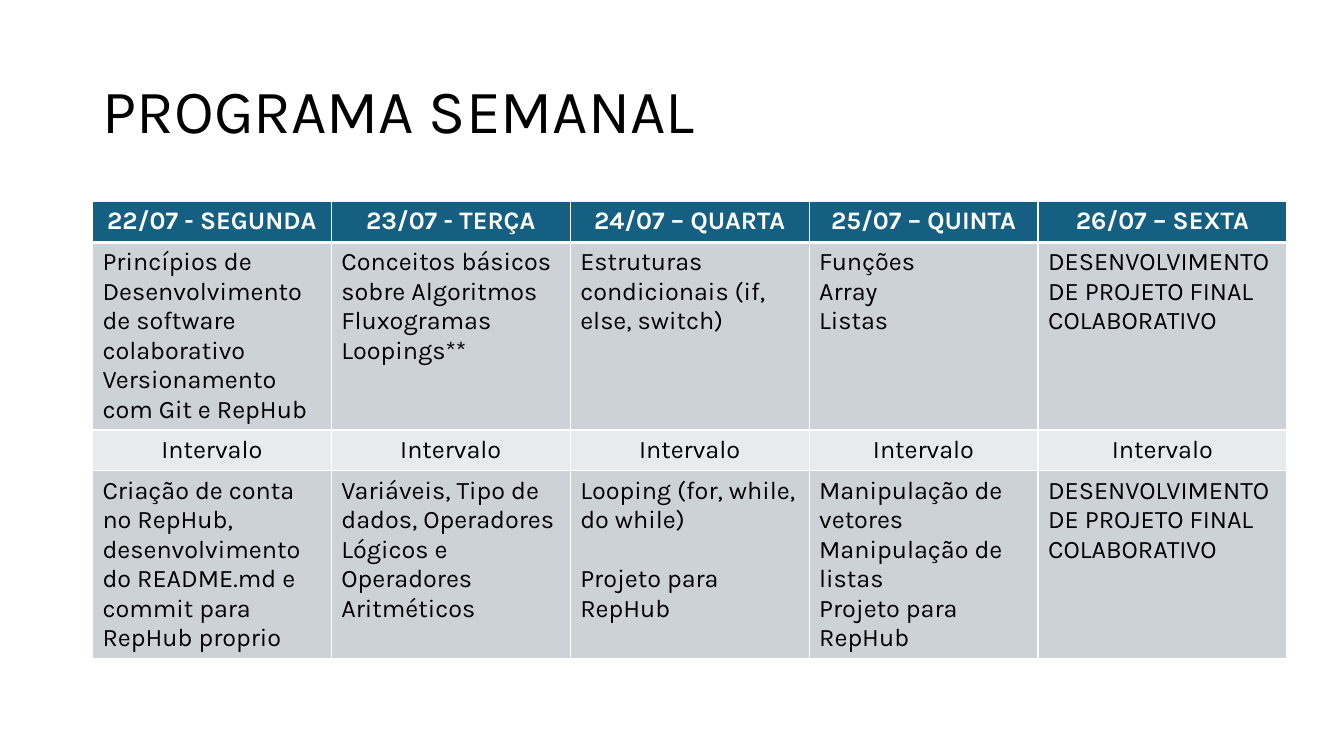
from lxml.etree import SubElement
from pptx import Presentation
from pptx.dml.color import RGBColor
from pptx.enum.text import MSO_ANCHOR as Anchor, PP_ALIGN as Align
from pptx.oxml.ns import qn
from pptx.util import Cm, Pt

FONT = "Karla"
WHITE, BLACK = "FFFFFF", "000000"
BLUE, GREY, PALE = "156082", "CCD2D8", "E8EAED"


def add_span(para, text, size, color, bold=False):
    span = para.add_run()
    span.text = text
    span.font.name = FONT
    span.font.size = Pt(size)
    span.font.bold = bold
    span.font.color.rgb = RGBColor.from_string(color)


def add_border(cell, side, width, color):
    line = SubElement(cell._tc.get_or_add_tcPr(), qn(f"a:ln{side}"), w=str(Pt(width)))
    fill = SubElement(line, qn("a:solidFill"))
    SubElement(fill, qn("a:srgbClr"), val=color)


deck = Presentation()
deck.slide_width, deck.slide_height = Cm(33.87), Cm(19.05)
page = deck.slides.add_slide(deck.slide_layouts[5])

# Title
title = page.shapes.title
title.left, title.top, title.width, title.height = Cm(2.33), Cm(1.01), Cm(29.21), Cm(3.68)
title.text_frame.vertical_anchor = Anchor.MIDDLE
para = title.text_frame.paragraphs[0]
para.alignment = Align.LEFT
para.line_spacing = 0.9
add_span(para, "PROGRAMA SEMANAL", 44, BLACK)

# Weekly programme: each cell is a list of paragraphs
final_project = ["DESENVOLVIMENTO DE PROJETO FINAL COLABORATIVO"]
days = ["22/07 - SEGUNDA", "23/07 - TERÇA", "24/07 – QUARTA", "25/07 – QUINTA", "26/07 – SEXTA"]
first_half = [
    ["Princípios de Desenvolvimento de software colaborativo Versionamento com Git e RepHub"],
    ["Conceitos básicos sobre Algoritmos Fluxogramas Loopings**"],
    ["Estruturas condicionais (if, else, switch)"],
    ["Funções", "Array", "Listas"],
    final_project,
]
second_half = [
    ["Criação de conta no RepHub, desenvolvimento do README.md e commit para RepHub proprio"],
    ["Variáveis, Tipo de dados, Operadores Lógicos e Operadores Aritméticos"],
    ["Looping (for, while, do while)", "Projeto para RepHub"],
    ["Manipulação de vetores", "Manipulação de listas", "Projeto para RepHub"],
    final_project,
]
# Height, fill, text colour, alignment and cells of each row
rows = [
    (1.03, BLUE, WHITE, Align.CENTER, [[day] for day in days]),
    (4.72, GREY, BLACK, Align.LEFT, first_half),
    (1.03, PALE, BLACK, Align.CENTER, [["Intervalo"]] * len(days)),
    (4.72, GREY, BLACK, Align.LEFT, second_half),
]
widths = [6.02, 6.02, 6.02, 5.77, 6.27]

# Table
frame = page.shapes.add_table(len(rows), len(days), Cm(2.33), Cm(5.08),
                              Cm(sum(widths)), Cm(sum(row[0] for row in rows)))
table = frame.table
table.horz_banding = False
for column, width in zip(table.columns, widths):
    column.width = Cm(width)

for r, (height, fill, color, alignment, cells) in enumerate(rows):
    table.rows[r].height = Cm(height)
    for c, lines in enumerate(cells):
        cell = table.cell(r, c)
        for side in "LRTB":
            # The rule between the header and the body is thicker
            thick = (r, side) in [(0, "B"), (1, "T")]
            add_border(cell, side, 3 if thick else 1, WHITE)
        cell.fill.solid()
        cell.fill.fore_color.rgb = RGBColor.from_string(fill)
        for i, text in enumerate(lines):
            para = cell.text_frame.paragraphs[0] if i == 0 else cell.text_frame.add_paragraph()
            para.alignment = alignment
            add_span(para, text, 18, color, bold=r == 0)

# One line of space before the project on Wednesday
table.cell(3, 2).text_frame.paragraphs[1].space_before = Pt(21)

deck.save("out.pptx")
